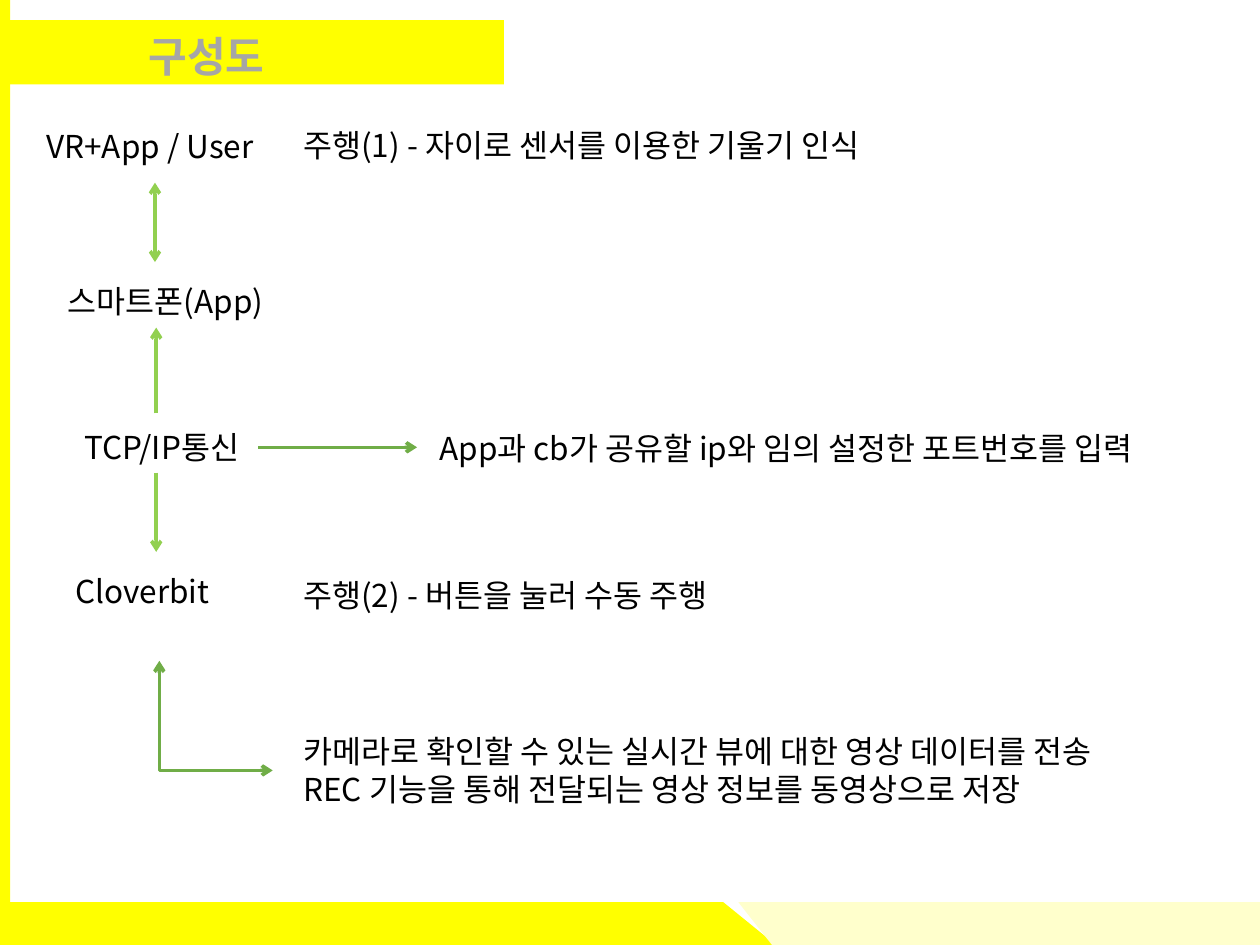
from lxml.etree import SubElement
from pptx import Presentation
from pptx.dml.color import RGBColor as RGB
from pptx.enum.shapes import MSO_CONNECTOR as Link, MSO_SHAPE as Shape
from pptx.enum.text import MSO_AUTO_SIZE as Auto
from pptx.oxml.ns import qn
from pptx.util import Inches, Pt

THEME = dict(
    font="Noto Sans CJK KR", title=24, body=18, line=2,
    yellow="FFFF00", pale="FFFFCC", grey="A6A6A6", ink="000000",
    lime="92D050", green="70AD47",
)
WIDE, HIGH = 10, 7.5
NOTE = 2.31   # left edge of the notes column
AXIS = 1.24   # x of the vertical flow
ROW = 0.4     # height of a one-line label

# Content: key -> (left, top, width, lines)
LABELS = {
    "board": (0.5, 4.49, 1.63, ["Cloverbit"]),
    "tcp": (0.57, 3.35, 1.48, ["TCP/IP통신"]),
    "phone": (0.44, 2.19, 1.94, ["스마트폰(App)"]),
    "user": (0.27, 0.96, 2.05, ["VR+App / User"]),
    "port": (3.39, 3.36, 6.61, ["App과 cb가 공유할 ip와 임의 설정한 포트번호를 입력"]),
    "tilt": (NOTE, 0.95, 5.38, ["주행(1) - 자이로 센서를 이용한 기울기 인식"]),
    "manual": (NOTE, 4.52, 5.38, ["주행(2) - 버튼을 눌러 수동 주행"]),
    "video": (NOTE, 5.76, 7.37, [
        "카메라로 확인할 수 있는 실시간 뷰에 대한 영상 데이터를 전송",
        "REC 기능을 통해 전달되는 영상 정보를 동영상으로 저장"]),
}
# Vertical arrows: x, from y, to y, ends with heads
FLOWS = [
    (AXIS, 3.75, 4.38, ["tail"]),
    (AXIS, 3.28, 2.6, ["tail"]),
    (AXIS - 0.01, 1.45, 2.08, ["head", "tail"]),
]
BARS = [(0.07, 0.16, 3.93, 0.51), (0, 0, 0.08, HIGH)]
FOOT, BASE = 7.16, 7.68
BANDS = [
    ("yellow", [(-0.11, FOOT), (5.74, FOOT), (6.38, BASE), (-0.1, BASE)]),
    ("pale", [(WIDE, BASE), (6.27, BASE), (5.86, FOOT), (WIDE, FOOT)]),
]

deck = Presentation()
deck.slide_width, deck.slide_height = Inches(WIDE), Inches(HIGH)
shapes = deck.slides.add_slide(deck.slide_layouts[6]).shapes


def color(key):
    return RGB.from_string(THEME[key])


def paint(shape, key):
    shape.shadow.inherit = False
    shape.fill.solid()
    shape.fill.fore_color.rgb = color(key)
    shape.line.fill.background()


def write(box, lines, size="body", ink="ink", bold=False, wrap=True):
    item = shapes.add_textbox(*map(Inches, box))
    frame = item.text_frame
    frame.word_wrap = wrap
    frame.auto_size = Auto.SHAPE_TO_FIT_TEXT
    frame.text = "\n".join(lines)
    for para in frame.paragraphs:
        font = para.font
        font.size, font.bold = Pt(THEME[size]), bold
        font.color.rgb = color(ink)
        font.name = THEME["font"]
        props = para._p.pPr.find(qn("a:defRPr"))
        SubElement(props, qn("a:ea"), typeface=THEME["font"])
    return item


def arrow(start, end, key, heads, kind=Link.STRAIGHT):
    link = shapes.add_connector(kind, *map(Inches, (*start, *end)))
    link.line.color.rgb = color(key)
    link.line.width = Pt(THEME["line"])
    props = link._element.spPr
    for head in heads:
        SubElement(props.find(qn("a:ln")), qn(f"a:{head}End"), type="arrow")
    SubElement(props, qn("a:effectLst"))
    return link


# Title bar and left edge
for bar in BARS:
    paint(shapes.add_shape(Shape.RECTANGLE, *map(Inches, bar)), "yellow")
write((1.08, 0.19, 1.2, 0.49), ["구성도"], "title", "grey", True, False)

# Footer bands
for key, points in BANDS:
    first, *rest = [(Inches(x), Inches(y)) for x, y in points]
    pen = shapes.build_freeform(*first)
    pen.add_line_segments(rest, close=True)
    paint(pen.convert_to_shape(), key)

# Labels and notes
boxes = {key: write((x, y, w, ROW * len(lines)), lines)
         for key, (x, y, w, lines) in LABELS.items()}

# Vertical flow
for x, top, end, heads in FLOWS:
    arrow((x, top), (x, end), "lime", heads)

# Link from the protocol to its note
side = arrow((2.05, 3.55), (3.31, 3.55), "green", ["tail"])
side.begin_connect(boxes["tcp"], 3)

# Elbow between the board and the video note: a turned two-part bend
bend = arrow((1.28, 6.13), (2.15, 5.23), "green", ["head", "tail"], Link.ELBOW)
props = bend._element.spPr
props.find(qn("a:xfrm")).set("rot", str(90 * 60000))
props.find(qn("a:prstGeom")).set("prst", "bentConnector2")

deck.save("out.pptx")
